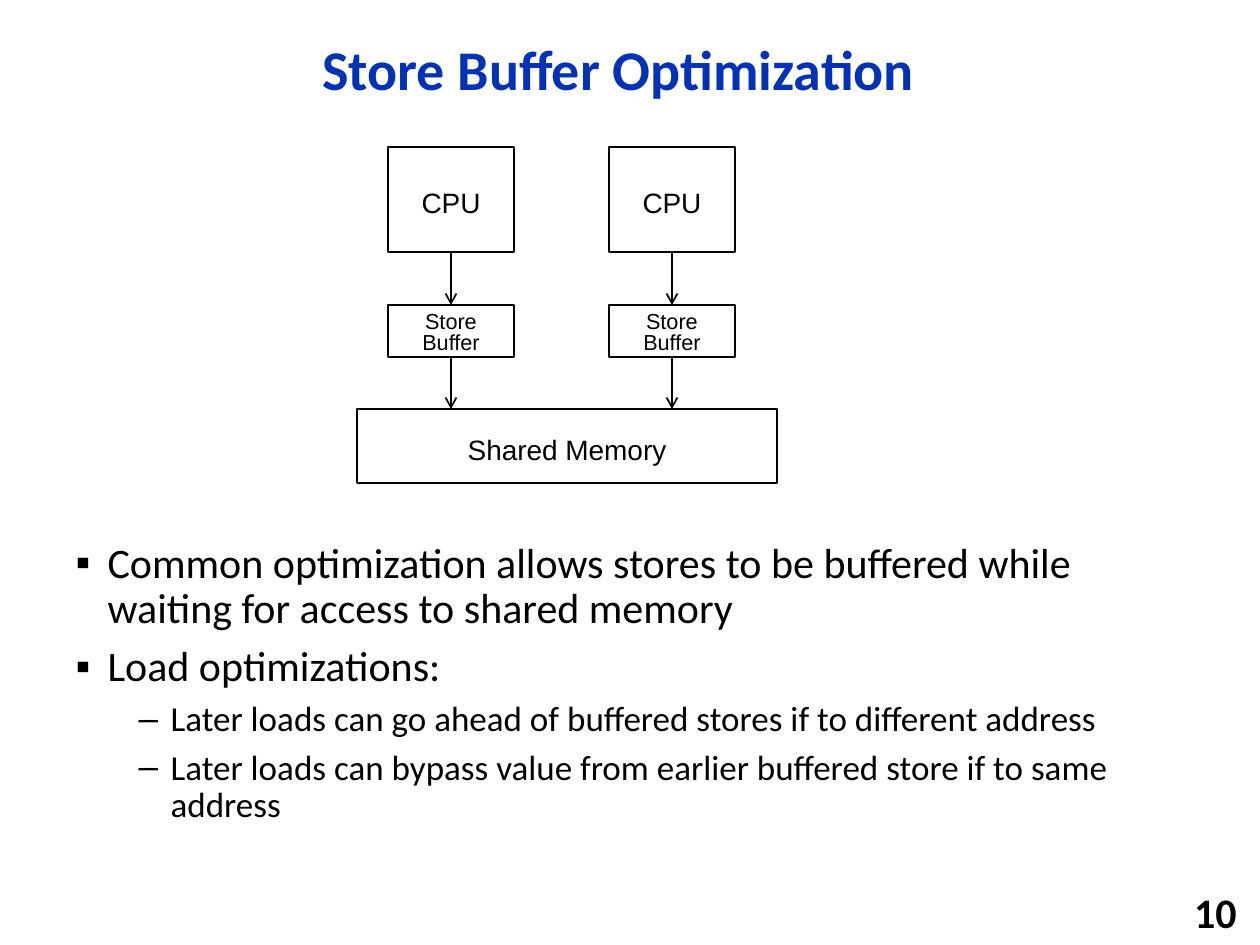
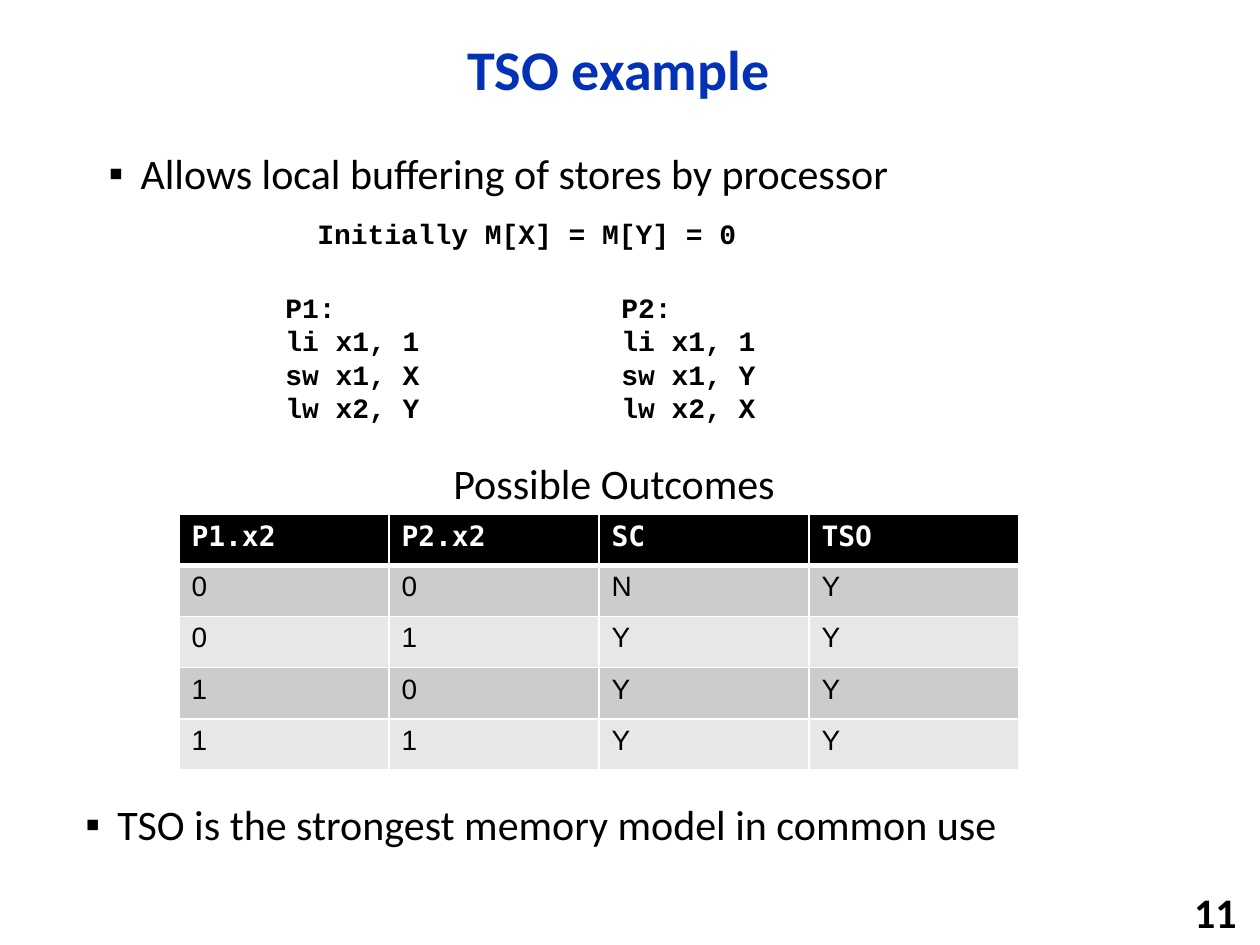
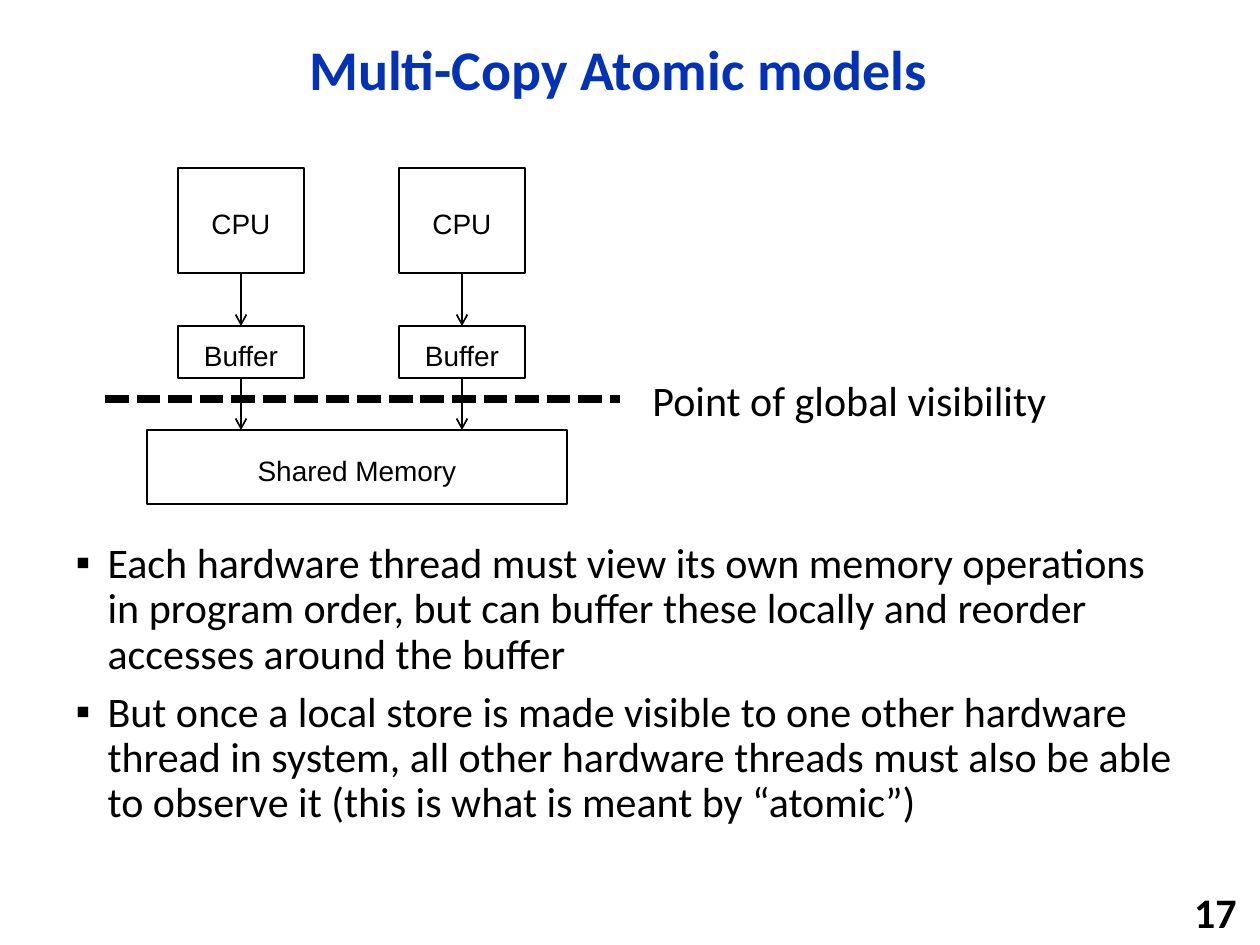
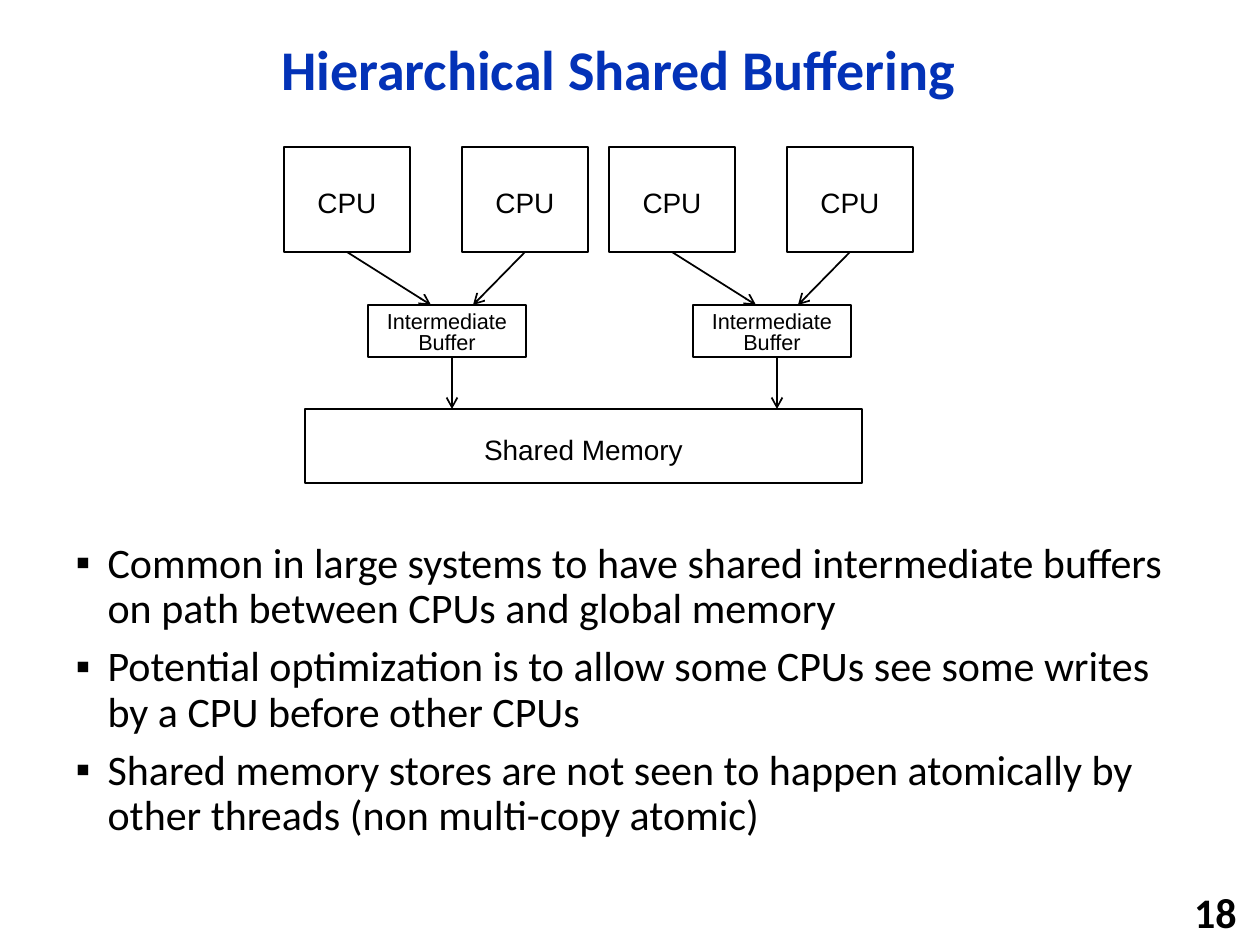
import pptx
import pptx.util
import pptx.dml.color
import pptx.enum.dml
import pptx.enum.shapes
import pptx.enum.text
import pptx.oxml
import pptx.oxml.ns

EMU_PER_PX = 914400 / 126
COLORS = {"title": "0332B7", "ink": "000000", "paper": "FFFFFF",
          "band_dark": "CCCCCC", "band_light": "E7E7E7"}
TITLE_AREA = (116, 21, 1005, 102)
BODY_AREA = (63, 536, 1134, 307)
NUMBER_AREA = (987, 892, 262, 40)
CPU_WIDTH, CPU_HEIGHT = 126, 105
BUFFER_DROP, BUFFER_HEIGHT = 158, 52
MEMORY_DROP, MEMORY_HEIGHT = 262, 74
LIST_LEVELS = [("▪", 24, 32), ("–", 20, 95)]
BULLET_HANG = 32

ALIGN = pptx.enum.text.PP_ALIGN
ANCHOR = pptx.enum.text.MSO_ANCHOR
AUTOSIZE = pptx.enum.text.MSO_AUTO_SIZE


def px(length):
    return pptx.util.Emu(round(length * EMU_PER_PX))


def color(name):
    return pptx.dml.color.RGBColor.from_string(COLORS[name])


def add_xml(parent, tag, content="", **attributes):
    listed = " ".join(f'{key}="{value}"' for key, value in attributes.items())
    namespace = pptx.oxml.ns.nsdecls("a")
    parent.append(pptx.oxml.parse_xml(f"<a:{tag} {namespace} {listed}>{content}</a:{tag}>"))


def place(shape, area):
    shape.left, shape.top, shape.width, shape.height = map(px, area)


def write(paragraph, text, size, font="Calibri", ink="ink", bold=False,
          align=ALIGN.LEFT, spacing=1.0, before=0.0):
    paragraph.alignment = align
    paragraph.line_spacing = spacing
    paragraph.space_before = pptx.util.Pt(round(size * before, 1))
    run = paragraph.add_run()
    run.text = text
    run.font.name = font
    run.font.size = pptx.util.Pt(size)
    run.font.bold = bold
    run.font.color.rgb = color(ink)


def next_paragraph(frame, index):
    return frame.add_paragraph() if index else frame.paragraphs[0]


def write_list(frame, items):
    frame.word_wrap = True
    frame.auto_size = AUTOSIZE.NONE
    frame.vertical_anchor = ANCHOR.TOP
    for index, (level, text) in enumerate(items):
        mark, size, indent = LIST_LEVELS[level]
        paragraph = next_paragraph(frame, index)
        paragraph.level = level
        write(paragraph, text, size, spacing=0.9, before=0.3)
        properties = paragraph._p.get_or_add_pPr()
        properties.set("marL", str(px(indent)))
        properties.set("indent", str(-px(BULLET_HANG)))
        add_xml(properties, "buFont", typeface="Arial")
        add_xml(properties, "buChar", char=mark)


def add_label(slide, area, lines, size, wrap=True, **style):
    label = slide.shapes.add_textbox(*map(px, area))
    frame = label.text_frame
    frame.word_wrap = wrap
    frame.auto_size = AUTOSIZE.SHAPE_TO_FIT_TEXT
    for index, line in enumerate(lines):
        write(next_paragraph(frame, index), line, size, **style)


def add_slide(deck, title, number, items, body_area=BODY_AREA):
    slide = deck.slides.add_slide(deck.slide_layouts[1])
    heading, body = slide.placeholders
    place(heading, TITLE_AREA)
    heading.text_frame.vertical_anchor = ANCHOR.MIDDLE
    heading.text_frame.auto_size = AUTOSIZE.NONE
    write(heading.text_frame.paragraphs[0], title, 32, ink="title", bold=True,
          align=ALIGN.CENTER, spacing=0.9)
    place(body, body_area)
    write_list(body.text_frame, items)
    page = slide.shapes.add_textbox(*map(px, NUMBER_AREA)).text_frame
    page.word_wrap = False
    page.vertical_anchor = ANCHOR.MIDDLE
    write(page.paragraphs[0], str(number), 24, bold=True, align=ALIGN.RIGHT)
    return slide


def add_unit(slide, area, text, size=16, spacing=1.0):
    unit = slide.shapes.add_shape(pptx.enum.shapes.MSO_SHAPE.RECTANGLE, *map(px, area))
    unit.shadow.inherit = False
    unit.fill.solid()
    unit.fill.fore_color.rgb = color("paper")
    unit.line.color.rgb = color("ink")
    unit.line.width = pptx.util.Pt(1.5)
    frame = unit.text_frame
    frame.word_wrap = True
    frame.vertical_anchor = ANCHOR.MIDDLE
    frame.margin_bottom = 0
    write(frame.paragraphs[0], text, size, font="Arial", align=ALIGN.CENTER,
          spacing=spacing, before=0.5)
    return unit


def add_line(slide, start, end, width=1.0):
    line = slide.shapes.add_connector(pptx.enum.shapes.MSO_CONNECTOR.STRAIGHT,
                                      *map(px, (*start, *end)))
    line.line.color.rgb = color("ink")
    line.line.width = pptx.util.Pt(width)
    add_xml(line._element.spPr, "effectLst")
    return line


def add_arrow(slide, start, end, source=None, target=None):
    arrow = add_line(slide, start, end)
    add_xml(arrow._element.spPr.get_or_add_ln(), "tailEnd", type="arrow")
    if source:
        arrow.begin_connect(source, 2)
    if target:
        arrow.end_connect(target, 0)


def add_cpu(slide, left, top):
    return add_unit(slide, (left, top, CPU_WIDTH, CPU_HEIGHT), "CPU")


def add_buffer(slide, left, top, width, label, size=12.4, spacing=0.8):
    area = (left, top + BUFFER_DROP, width, BUFFER_HEIGHT)
    return add_unit(slide, area, label, size, spacing)


def add_memory(slide, left, top, width):
    add_unit(slide, (left, top + MEMORY_DROP, width, MEMORY_HEIGHT), "Shared Memory")


def add_memory_arrow(slide, x, top):
    add_arrow(slide, (x, top + BUFFER_DROP + BUFFER_HEIGHT), (x, top + MEMORY_DROP))


def add_private_buffers(slide, left, top, label, **buffer_style):
    add_memory(slide, left, top, 420)
    for cpu_left in (left + 31, left + 252):
        center = cpu_left + CPU_WIDTH // 2
        cpu = add_cpu(slide, cpu_left, top)
        buffer = add_buffer(slide, cpu_left, top, CPU_WIDTH, label, **buffer_style)
        add_arrow(slide, (center, top + CPU_HEIGHT), (center, top + BUFFER_DROP), cpu, buffer)
        add_memory_arrow(slide, center, top)


def add_shared_buffers(slide, top):
    add_memory(slide, 305, top, 557)
    for cluster_left in (284, 609):
        add_buffer(slide, cluster_left + 84, top, 158, "Intermediate Buffer")
        for cpu_offset, entry_offset in ((0, 147), (178, 189)):
            cpu_left = cluster_left + cpu_offset
            cpu = add_cpu(slide, cpu_left, top)
            add_arrow(slide, (cpu_left + CPU_WIDTH // 2, top + CPU_HEIGHT),
                      (cluster_left + entry_offset, top + BUFFER_DROP), cpu)
        add_memory_arrow(slide, cluster_left + 168, top)


def add_cell_borders(cell, top_width, bottom_width):
    fill = f'<a:solidFill><a:srgbClr val="{COLORS["paper"]}"/></a:solidFill>'
    widths = {"lnL": 1, "lnR": 1, "lnT": top_width, "lnB": bottom_width}
    for side, width in widths.items():
        add_xml(cell._tc.get_or_add_tcPr(), side, fill, w=pptx.util.Pt(width))


def add_outcomes(slide, area, rows):
    table = slide.shapes.add_table(len(rows), len(rows[0]), *map(px, area)).table
    for row_index, values in enumerate(rows):
        header = row_index == 0
        band = "ink" if header else "band_dark" if row_index % 2 else "band_light"
        for column_index, value in enumerate(values):
            cell = table.cell(row_index, column_index)
            add_cell_borders(cell, 3 if row_index == 1 else 1, 3 if header else 1)
            cell.fill.solid()
            cell.fill.fore_color.rgb = color(band)
            write(cell.text_frame.paragraphs[0], value, 16, before=0.5, bold=header,
                  font="DejaVu Sans Mono" if header else "Arial",
                  ink="paper" if header else "ink")


def build_store_buffer(deck):
    slide = add_slide(deck, "Store Buffer Optimization", 10, [
        (0, "Common optimization allows stores to be buffered while waiting for access to shared memory"),
        (0, "Load optimizations:"),
        (1, "Later loads can go ahead of buffered stores if to different address"),
        (1, "Later loads can bypass value from earlier buffered store if to same address"),
    ])
    add_private_buffers(slide, 357, 147, "Store Buffer")


def build_tso_example(deck):
    slide = add_slide(deck, "TSO example", 11,
                      [(0, "Allows local buffering of stores by processor")],
                      (96, 147, 1058, 95))
    code = {"font": "Courier New", "bold": True}
    add_label(slide, (305, 210, 462, 47), ["Initially M[X] = M[Y] = 0"], 16, before=0.5, **code)
    programs = [(273, 273, "P1", "X", "Y"), (609, 231, "P2", "Y", "X")]
    for left, width, processor, stored, loaded in programs:
        add_label(slide, (left, 284, width, 149),
                  [f"{processor}:", "li x1, 1", f"sw x1, {stored}", f"lw x2, {loaded}"],
                  16, **code)
    add_outcomes(slide, (179, 514, 840, 256),
                 [("P1.x2", "P2.x2", "SC", "TSO"), *map(tuple, ("00NY", "01YY", "10YY", "11YY"))])
    add_label(slide, (441, 451, 352, 63), ["Possible Outcomes"], 24, wrap=False, before=0.5)
    conclusion = slide.shapes.add_textbox(*map(px, (73, 798, 1058, 95)))
    write_list(conclusion.text_frame, [(0, "TSO is the strongest memory model in common use")])


def build_multi_copy(deck):
    slide = add_slide(deck, "Multi-Copy Atomic models", 17, [
        (0, "Each hardware thread must view its own memory operations in program order, "
            "but can buffer these locally and reorder accesses around the buffer"),
        (0, "But once a local store is made visible to one other hardware thread in system, "
            "all other hardware threads must also be able to observe it "
            "(this is what is meant by “atomic”)"),
    ])
    add_private_buffers(slide, 147, 168, "Buffer", size=16, spacing=1.0)
    visibility = add_line(slide, (105, 399), (620, 399), 4.5)
    visibility.line.dash_style = pptx.enum.dml.MSO_LINE.SQUARE_DOT
    add_label(slide, (640, 368, 425, 63), ["Point of global visibility"], 24,
              wrap=False, before=0.5)


def build_hierarchical(deck):
    slide = add_slide(deck, "Hierarchical Shared Buffering", 18, [
        (0, "Common in large systems to have shared intermediate buffers on path between CPUs and global memory"),
        (0, "Potential optimization is to allow some CPUs see some writes by a CPU before other CPUs"),
        (0, "Shared memory stores are not seen to happen atomically by other threads (non multi-copy atomic)"),
    ])
    add_shared_buffers(slide, 147)


def main():
    deck = pptx.Presentation()
    deck.slide_width, deck.slide_height = px(1260), px(945)
    build_store_buffer(deck)
    build_tso_example(deck)
    build_multi_copy(deck)
    build_hierarchical(deck)
    deck.save("out.pptx")


if __name__ == "__main__":
    main()
